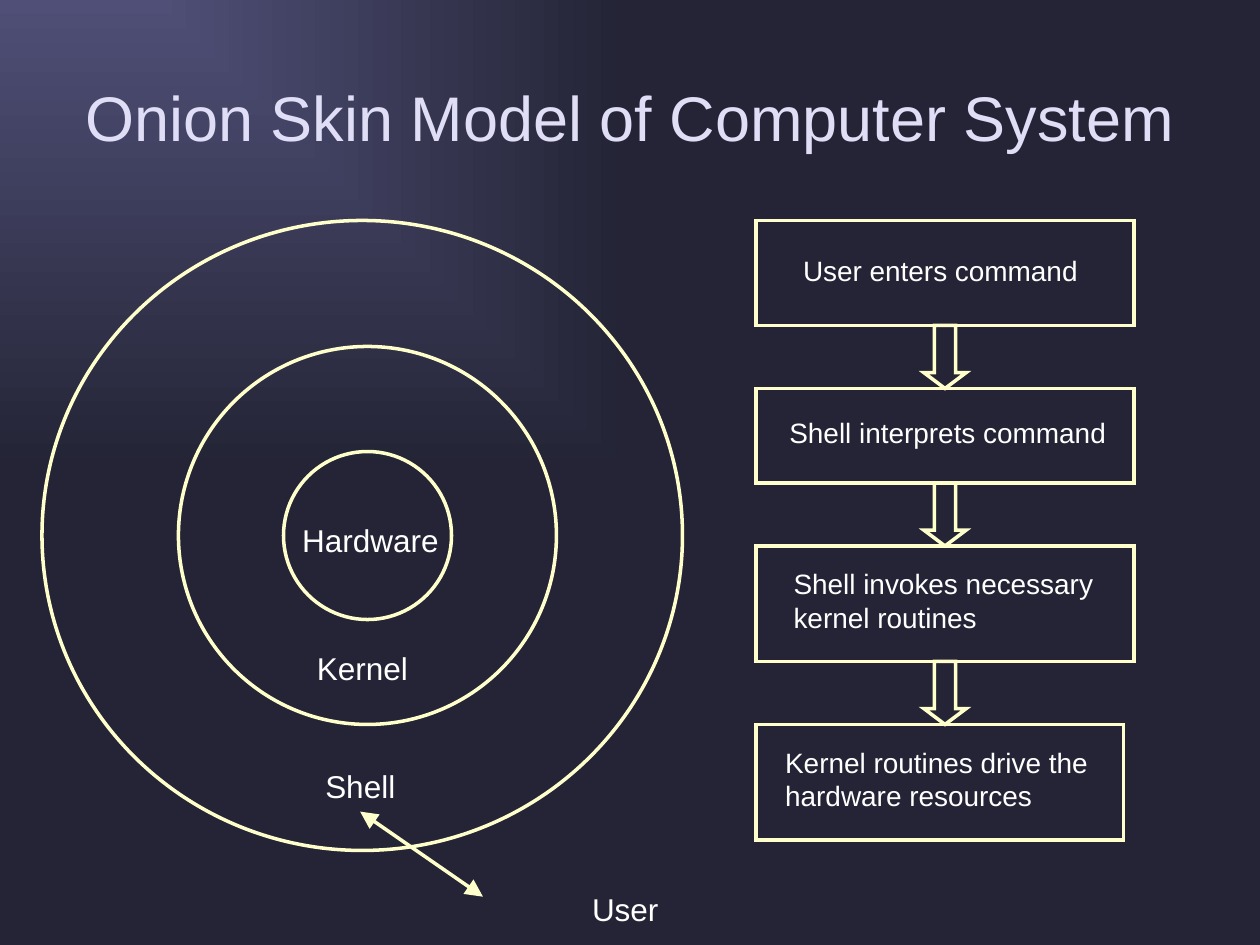
from dataclasses import dataclass

from lxml.etree import SubElement
from pptx import Presentation
from pptx.dml.color import RGBColor as RGB
from pptx.enum.shapes import MSO_CONNECTOR as Connector, MSO_SHAPE as Shape
from pptx.enum.text import MSO_ANCHOR as Anchor, MSO_AUTO_SIZE as AutoSize, PP_ALIGN as Align
from pptx.oxml.ns import qn
from pptx.util import Inches, Pt


@dataclass
class Theme:
    font = "Arial"
    title_size = Pt(36)
    ring_size = Pt(18)
    step_size = Pt(16)
    line_width = Pt(2)
    title = RGB.from_string("DFDEF6")
    text = RGB.from_string("FFFFFF")
    line = RGB.from_string("FFFFCC")
    glow = RGB.from_string("4F4F77")
    night = RGB.from_string("242436")


theme = Theme()
presentation = Presentation()
presentation.slide_width = Inches(10)
presentation.slide_height = Inches(7.5)
slide = presentation.slides.add_slide(presentation.slide_layouts[6])
cell = presentation.slide_width / 120


def add_outline(kind, *box):
    shape = slide.shapes.add_shape(kind, *(round(value * cell) for value in box))
    shape.shadow.inherit = False
    shape.fill.background()
    shape.line.color.rgb = theme.line
    shape.line.width = theme.line_width
    SubElement(shape.element.spPr.find(qn("a:ln")), qn("a:miter"), lim="800000")
    return shape


def add_text(text, box, size, color, wrap=False, align=Align.LEFT):
    shape = slide.shapes.add_textbox(*(round(value * cell) for value in box))
    frame = shape.text_frame
    frame.text = text
    frame.word_wrap = wrap
    for paragraph in frame.paragraphs:
        paragraph.alignment = align
        for run in paragraph.runs:
            run.font.name = theme.font
            run.font.size = size
            run.font.color.rgb = color
    return frame


fill = slide.background.fill
fill.gradient()
for stop, color in zip(fill.gradient_stops, (theme.glow, theme.night)):
    stop.color.rgb = color
linear = next(slide.element.iter(qn("a:lin")))
gradient = linear.getparent()
gradient.remove(linear)
corner = SubElement(gradient, qn("a:path"), path="rect")
SubElement(corner, qn("a:fillToRect"), r="100000", b="100000")

title = add_text("Onion Skin Model of Computer System", (6, 3.6, 108, 15),
                 theme.title_size, theme.title, True, Align.CENTER)
title.vertical_anchor = Anchor.MIDDLE

rings = [(4, 21, 61, 60), (27, 43, 16, 16), (17, 33, 36, 36)]
for ring in rings:
    add_outline(Shape.OVAL, *ring)

ring_labels = [
    ("Shell", 29.8, 72.5, 9.4),
    ("Kernel", 29, 61.2, 11.6),
    ("Hardware", 27.6, 49, 15.8),
    ("User", 55.2, 84.2, 9.2),
]
for text, left, top, width in ring_labels:
    frame = add_text(text, (left, top, width, 4.8), theme.ring_size, theme.text)
    frame.auto_size = AutoSize.SHAPE_TO_FIT_TEXT

steps = [
    ("User enters command", Shape.FLOWCHART_PROCESS, 36, 10, (75.3, 23.6, 29, 4.4)),
    ("Shell interprets command", Shape.RECTANGLE, 36, 9, (74, 39, 33, 4.4)),
    ("Shell invokes necessary\nkernel routines", Shape.RECTANGLE, 36, 11, (74.4, 53.4, 34.6, 7.7)),
    ("Kernel routines drive the\nhardware resources", Shape.FLOWCHART_PROCESS, 35, 11, (73.6, 70.4, 32.4, 7.7)),
]
step_left, step_top, gap = 72, 21, 6
for index, (text, kind, width, height, label) in enumerate(steps):
    if index:
        arrow = add_outline(Shape.DOWN_ARROW, 88, step_top - gap, 4, gap)
        arrow.adjustments[0] = 0.5
        arrow.adjustments[1] = 0.375
    add_outline(kind, step_left, step_top, width, height)
    frame = add_text(text, label, theme.step_size, theme.text)
    frame.auto_size = AutoSize.SHAPE_TO_FIT_TEXT
    step_top += height + gap

user_link = slide.shapes.add_connector(
    Connector.STRAIGHT, *(round(value * cell) for value in (34.3, 77.3, 46, 85.4)))
user_link.line.color.rgb = theme.line
user_link.line.width = theme.line_width
line = next(user_link.element.iter(qn("a:ln")))
for end in ("a:headEnd", "a:tailEnd"):
    SubElement(line, qn(end), type="triangle", w="lg", len="lg")
SubElement(line.getparent(), qn("a:effectLst"))

presentation.save("out.pptx")
